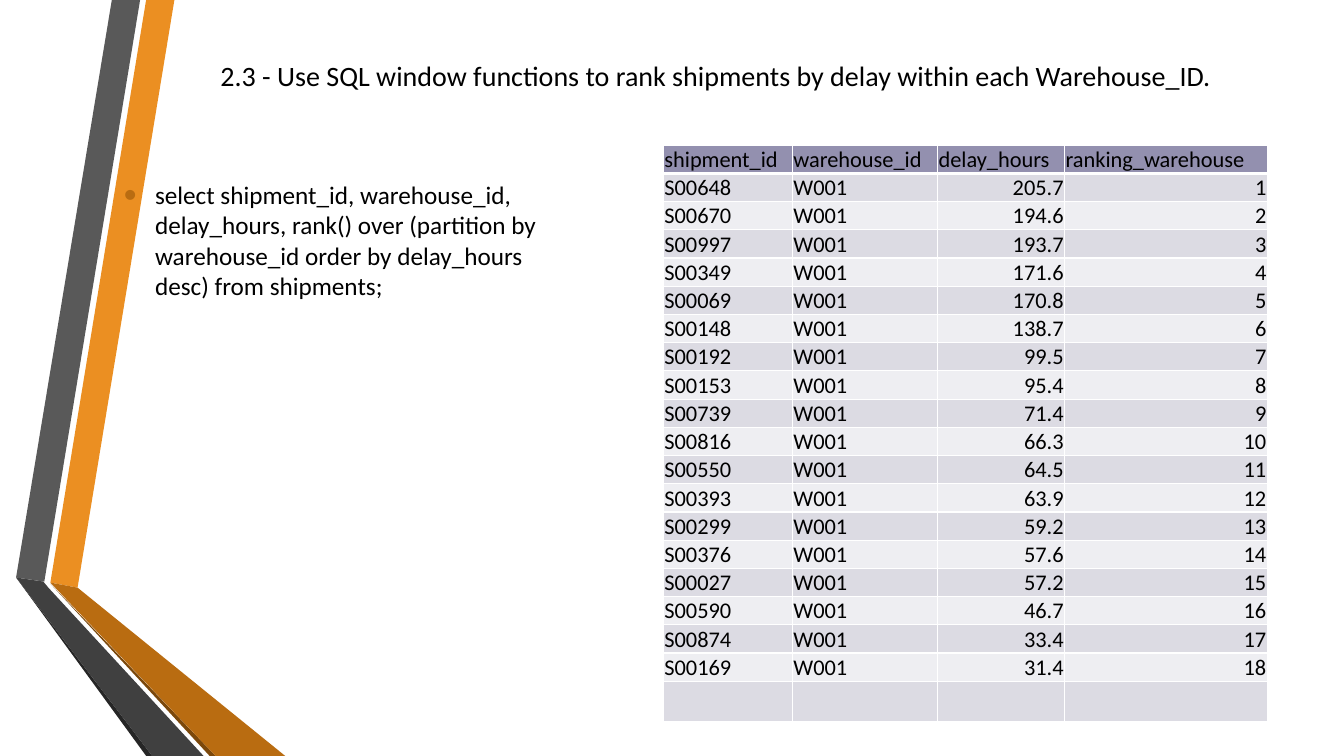
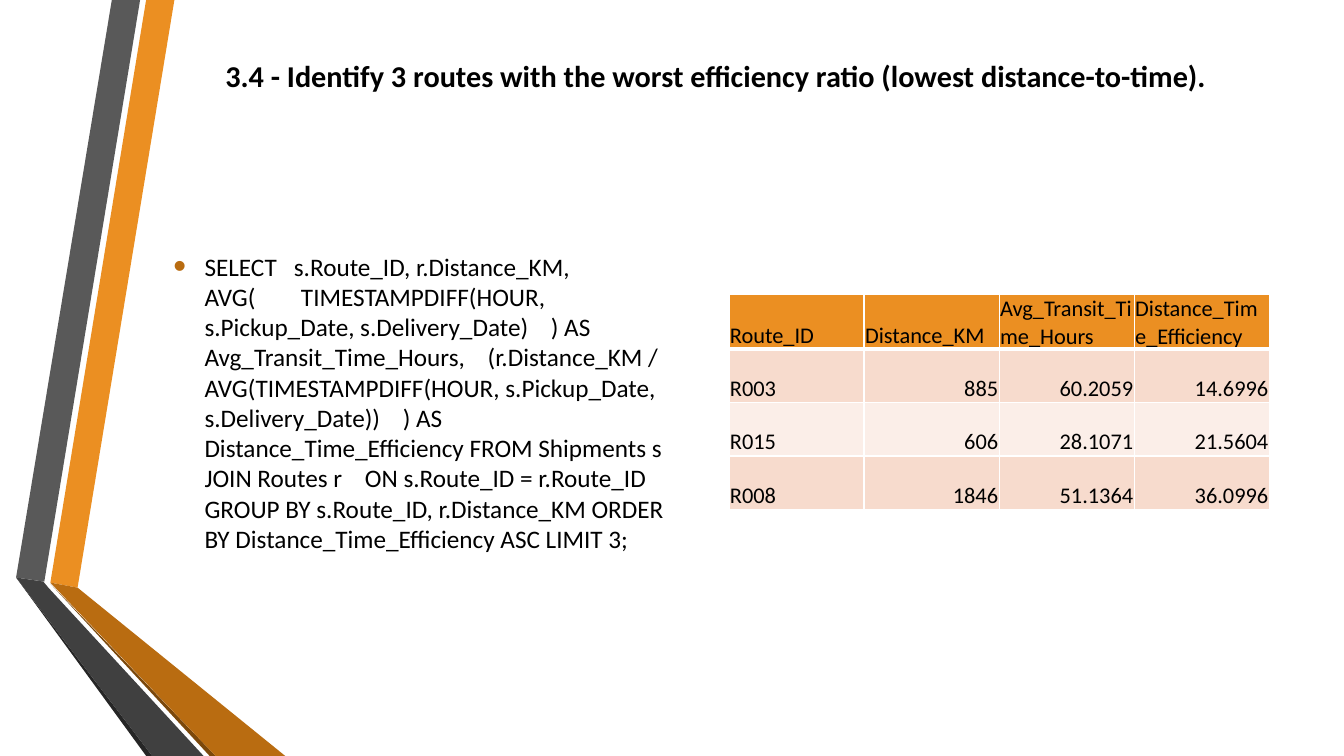
from lxml import etree
from pptx import Presentation
from pptx.dml.color import RGBColor
from pptx.enum.text import MSO_ANCHOR, MSO_AUTO_SIZE, PP_ALIGN
from pptx.oxml.ns import qn
from pptx.util import Emu, Pt

MIDDLE, BOTTOM = MSO_ANCHOR.MIDDLE, MSO_ANCHOR.BOTTOM
LEFT, CENTER, RIGHT = PP_ALIGN.LEFT, PP_ALIGN.CENTER, PP_ALIGN.RIGHT
NO_FIT = MSO_AUTO_SIZE.NONE
TITLE_ONLY = 5
SCALE = 9144
FONT, BLACK, WHITE = "Calibri", "000000", "FFFFFF"
BULLET = "B96C11"
PURPLE = ("9390AF", "DCDBE3", "EEEEF2")
ORANGE = ("EB8F22", "F7DBCD", "FBEEE8")

BANDS = [
    ("EB8F22", [(50, 578), (77, 583), (173, 0), (145, 0)]),
    ("595959", [(139, 0), (111, 0), (16, 573), (44, 577)]),
    ("262626", [(16, 573), (145, 750), (151, 750)]),
    ("7B480B", [(50, 579), (208, 750), (214, 750)]),
    ("B96C11", [(50, 578), (214, 750), (283, 750), (77, 583)]),
    ("404040", [(202, 750), (48, 583), (43, 577), (16, 573), (151, 750)]),
]

RANK_QUERY = (
    "select shipment_id, warehouse_id, delay_hours, rank() over (partition by "
    "warehouse_id order by delay_hours desc) from shipments;"
)
RANK_HEADER = ["shipment_id", "warehouse_id", "delay_hours", "ranking_warehouse"]
DELAYS = [
    ("S00648", "205.7"), ("S00670", "194.6"), ("S00997", "193.7"),
    ("S00349", "171.6"), ("S00069", "170.8"), ("S00148", "138.7"),
    ("S00192", "99.5"), ("S00153", "95.4"), ("S00739", "71.4"),
    ("S00816", "66.3"), ("S00550", "64.5"), ("S00393", "63.9"),
    ("S00299", "59.2"), ("S00376", "57.6"), ("S00027", "57.2"),
    ("S00590", "46.7"), ("S00874", "33.4"), ("S00169", "31.4"),
]

ROUTE_QUERY = (
    "SELECT   s.Route_ID, r.Distance_KM, AVG(        TIMESTAMPDIFF(HOUR, "
    "s.Pickup_Date, s.Delivery_Date)    ) AS Avg_Transit_Time_Hours,    "
    "(r.Distance_KM /     AVG(TIMESTAMPDIFF(HOUR, s.Pickup_Date, "
    "s.Delivery_Date))    ) AS Distance_Time_Efficiency FROM Shipments s "
    "JOIN Routes r    ON s.Route_ID = r.Route_ID GROUP BY s.Route_ID, "
    "r.Distance_KM ORDER BY Distance_Time_Efficiency ASC LIMIT 3;"
)
ROUTES = [
    ["Route_ID", "Distance_KM", "Avg_Transit_Time_Hours", "Distance_Time_Efficiency"],
    ["R003", "885", "60.2059", "14.6996"],
    ["R015", "606", "28.1071", "21.5604"],
    ["R008", "1846", "51.1364", "36.0996"],
]


def px(length):
    """Turn px into EMU."""
    return Emu(length * SCALE)


def color(code):
    """Turn a hex string into a colour."""
    return RGBColor.from_string(code)


class Deck:
    """Holds the shared style, the deck and the current page."""

    def __init__(self):
        """Start an empty wide deck."""
        self.deck = Presentation()
        self.deck.slide_width, self.deck.slide_height = px(1333), px(750)
        self.layout = self.deck.slide_layouts[TITLE_ONLY]
        self.page = None

    def add_page(self, text, size, bold=False):
        """Add a page with its centred title."""
        first = self.page is None
        self.page = self.deck.slides.add_slide(self.layout)
        if first:
            self.add_bands()
        box = self.page.shapes.title
        box.left, box.top, box.width, box.height = map(px, (162, 33, 1096, 84))
        frame = box.text_frame
        frame.auto_size, frame.vertical_anchor = NO_FIT, MIDDLE
        self.add_span(frame.paragraphs[0], text, size, CENTER, bold)

    def add_bands(self):
        """Draw the folded bands and move them to the shared layout."""
        for index, (fill, points) in enumerate(BANDS):
            builder = self.page.shapes.build_freeform(*points[0], scale=SCALE)
            builder.add_line_segments(points[1:], close=True)
            band = builder.convert_to_shape()
            band.shadow.inherit = False
            band.fill.solid()
            band.fill.fore_color.rgb = color(fill)
            band.line.fill.background()
            self.layout.shapes.element.insert(2 + index, band.element)

    def add_span(self, para, text, size, align=LEFT, bold=False):
        """Add one run of styled text to a paragraph."""
        para.alignment = align
        span = para.add_run()
        span.text = text
        font = span.font
        font.name, font.size, font.bold = FONT, Pt(size), bold
        font.color.rgb = color(BLACK)

    def add_query(self, text, left, top, width, height):
        """Add a bulleted query in a vertically centred box."""
        box = self.page.shapes.add_textbox(*map(px, (left, top, width, height)))
        frame = box.text_frame
        frame.word_wrap, frame.vertical_anchor = True, MIDDLE
        para = frame.paragraphs[0]
        props = para._p.get_or_add_pPr()
        props.set("marL", str(px(31)))
        props.set("indent", str(px(-31)))
        bullet_color = etree.SubElement(props, qn("a:buClr"))
        etree.SubElement(bullet_color, qn("a:srgbClr"), val=BULLET)
        etree.SubElement(props, qn("a:buSzPct"), val="145000")
        etree.SubElement(props, qn("a:buFont"), typeface="Arial")
        etree.SubElement(props, qn("a:buChar"), char="•")
        self.add_span(para, text, 18)

    def add_table(self, rows, left, top, widths, heights, fills):
        """Add a banded table with numbers aligned right."""
        area = map(px, (left, top, sum(widths), sum(heights)))
        table = self.page.shapes.add_table(len(rows), len(widths), *area).table
        for column, width in zip(table.columns, widths):
            column.width = px(width)
        for index, (values, height) in enumerate(zip(rows, heights)):
            table.rows[index].height = px(height)
            fill = fills[0] if index == 0 else fills[1 + (index - 1) % 2]
            for cell, value in zip(table.rows[index].cells, values):
                self.style_cell(cell, fill, index)
                if value:
                    number = value.replace(".", "").isdigit()
                    para = cell.text_frame.paragraphs[0]
                    self.add_span(para, value, 16, RIGHT if number else LEFT)

    def style_cell(self, cell, fill, row):
        """Set the margins, borders and fill of a cell."""
        cell.margin_left = cell.margin_right = cell.margin_top = px(1)
        cell.margin_bottom = 0
        cell.vertical_anchor = BOTTOM
        props = cell._tc.get_or_add_tcPr()
        for side in "LRTB":
            thick = (row, side) in ((0, "B"), (1, "T"))
            width = str(Pt(3 if thick else 1))
            line = etree.SubElement(props, qn("a:ln" + side), w=width)
            solid = etree.SubElement(line, qn("a:solidFill"))
            etree.SubElement(solid, qn("a:srgbClr"), val=WHITE)
        cell.fill.solid()
        cell.fill.fore_color.rgb = color(fill)


def main():
    """Build both pages and save the deck."""
    deck = Deck()

    deck.add_page(
        "2.3 - Use SQL window functions to rank shipments by delay "
        "within each Warehouse_ID.", 20)
    deck.add_query(RANK_QUERY, 113, 127, 473, 222)
    ranking = [[shipment, "W001", delay, str(rank)]
               for rank, (shipment, delay) in enumerate(DELAYS, 1)]
    rows = [RANK_HEADER, *ranking, [""] * 4]
    heights = [28] * (len(rows) - 1) + [40]
    deck.add_table(rows, 658, 144, [128, 144, 126, 201], heights, PURPLE)

    deck.add_page(
        "3.4 - Identify 3 routes with the worst efficiency ratio "
        "(lowest distance-to-time).", 21.6, bold=True)
    deck.add_query(ROUTE_QUERY, 162, 165, 535, 468)
    deck.add_table(ROUTES, 723, 292, [134] * 4, [53] * 4, ORANGE)

    deck.deck.save("out.pptx")


if __name__ == "__main__":
    main()
